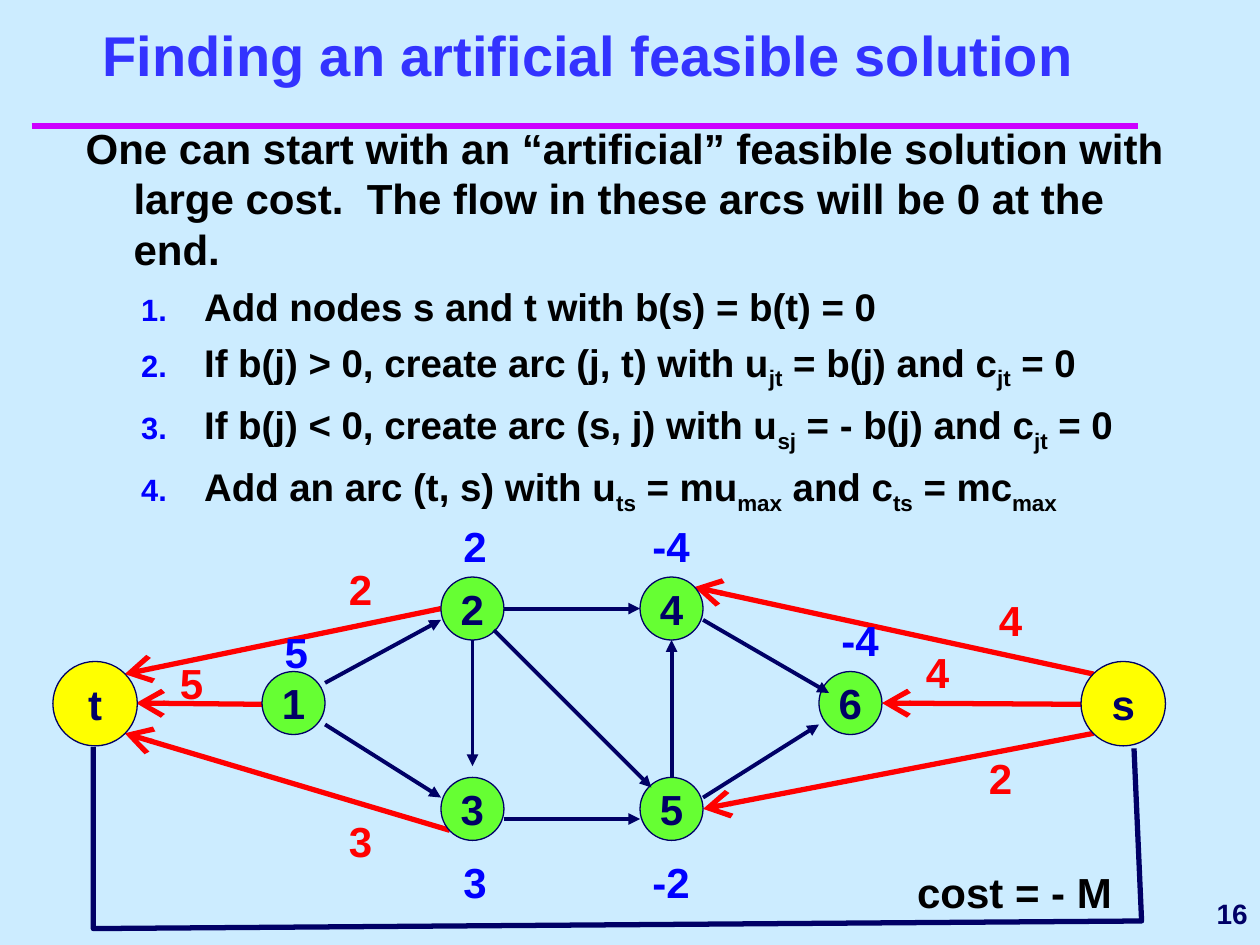
from lxml import etree
from pptx import Presentation
from pptx.dml.color import RGBColor
from pptx.enum.shapes import MSO_CONNECTOR, MSO_SHAPE
from pptx.enum.text import MSO_ANCHOR, MSO_AUTO_SIZE, PP_ALIGN
from pptx.oxml.ns import qn
from pptx.util import Inches, Pt

STRAIGHT = MSO_CONNECTOR.STRAIGHT
OVAL = MSO_SHAPE.OVAL
MIDDLE, BOTTOM, TOP = MSO_ANCHOR.MIDDLE, MSO_ANCHOR.BOTTOM, MSO_ANCHOR.TOP
LEFT, CENTER, RIGHT = PP_ALIGN.LEFT, PP_ALIGN.CENTER, PP_ALIGN.RIGHT
NO_AUTOFIT = MSO_AUTO_SIZE.NONE

PALE_BLUE = RGBColor(0xCC, 0xEC, 0xFF)
TITLE_BLUE = RGBColor(0x33, 0x33, 0xFF)
BLUE = RGBColor(0x00, 0x00, 0xFF)
NAVY = RGBColor(0x00, 0x00, 0x66)
MAGENTA = RGBColor(0xCC, 0x00, 0xFF)
RED = RGBColor(0xFF, 0x00, 0x00)
YELLOW = RGBColor(0xFF, 0xFF, 0x00)
GREEN = RGBColor(0x66, 0xFF, 0x33)
BLACK = RGBColor(0x00, 0x00, 0x00)


def style_text(para, size, color, align=LEFT):
    para.alignment = align
    para.font.name = "Arial"
    para.font.size = Pt(size)
    para.font.bold = True
    para.font.color.rgb = color


def add_line(ends, color, width, arrowhead=None, head_size="med"):
    """Draw a line between two points, with an optional arrowhead at its end."""
    line = page.shapes.add_connector(STRAIGHT, *[Inches(value) for value in ends])
    line.line.color.rgb = color
    line.line.width = Pt(width)
    if arrowhead:
        etree.SubElement(
            line.line._get_or_add_ln(), qn("a:tailEnd"),
            type=arrowhead, w=head_size, len=head_size,
        )
    etree.SubElement(line._element.spPr, qn("a:effectLst"))


deck = Presentation()
deck.slide_width, deck.slide_height = Inches(10), Inches(7.5)
page = deck.slides.add_slide(deck.slide_layouts[1])
page.background.fill.solid()
page.background.fill.fore_color.rgb = PALE_BLUE

add_line((0.25, 1, 9.03, 1), MAGENTA, 4)

# Title and steps
title, body = page.placeholders
for holder, place, anchor in [
    (title, (0.42, 0.17, 8.5, 0.58), BOTTOM),
    (body, (0.58, 0.92, 9, 3.25), TOP),
]:
    holder.left, holder.top, holder.width, holder.height = map(Inches, place)
    holder.text_frame.auto_size = NO_AUTOFIT
    holder.text_frame.vertical_anchor = anchor

title.text_frame.text = "Finding an artificial feasible solution"
style_text(title.text_frame.paragraphs[0], 32, TITLE_BLUE, CENTER)

intro = body.text_frame.paragraphs[0]
intro.text = (
    "One can start with an “artificial” feasible solution with large cost.  "
    "The flow in these arcs will be 0 at the end."
)
properties = intro._p.get_or_add_pPr()
properties.set("marL", str(Inches(0.38)))
properties.set("indent", str(Inches(-0.38)))
etree.SubElement(properties, qn("a:buNone"))
intro.space_before = Pt(0)
style_text(intro, 24, BLACK)

# Every second part between bars is a subscript
steps = [
    "Add nodes s and t with b(s) = b(t) = 0",
    "If b(j) > 0, create arc (j, t) with u|jt| = b(j) and c|jt| = 0",
    "If b(j) < 0, create arc (s, j) with u|sj| = - b(j) and c|jt| = 0",
    "Add an arc (t, s) with u|ts| = mu|max| and c|ts| = mc|max",
]
for step in steps:
    para = body.text_frame.add_paragraph()
    para.level = 1
    properties = para._p.get_or_add_pPr()
    properties.set("marL", str(Inches(0.94)))
    properties.set("indent", str(Inches(-0.5)))
    bullet_color = etree.SubElement(properties, qn("a:buClr"))
    etree.SubElement(bullet_color, qn("a:srgbClr"), val=str(BLUE))
    etree.SubElement(properties, qn("a:buSzPct"), val="80000")
    etree.SubElement(properties, qn("a:buFont"), typeface="Arial")
    etree.SubElement(properties, qn("a:buAutoNum"), type="arabicPeriod")
    para.space_before = Pt(5.5)
    style_text(para, 22, BLACK)
    for index, part in enumerate(step.split("|")):
        span = para.add_run()
        span.text = part
        if index % 2:
            span._r.get_or_add_rPr().set("baseline", "-25000")

# Artificial arcs, drawn towards t and away from s
for arc in [
    (8.68, 5.35, 5.51, 4.66),
    (8.58, 5.59, 7, 5.58),
    (8.68, 5.82, 5.58, 6.42),
    (3.5, 4.83, 0.99, 5.35),
    (2.08, 5.59, 1.08, 5.58),
    (3.57, 6.59, 0.99, 5.82),
]:
    add_line(arc, RED, 3, "arrow", "lg")

# Nodes
for name, left, top, size, fill in [
    ("s", 8.58, 5.25, 0.67, YELLOW),
    ("t", 0.42, 5.25, 0.67, YELLOW),
    ("1", 2.08, 5.33, 0.5, GREEN),
    ("2", 3.5, 4.58, 0.5, GREEN),
    ("3", 3.5, 6.17, 0.5, GREEN),
    ("4", 5.08, 4.58, 0.5, GREEN),
    ("5", 5.08, 6.17, 0.5, GREEN),
    ("6", 6.5, 5.33, 0.5, GREEN),
]:
    node = page.shapes.add_shape(
        OVAL, Inches(left), Inches(top), Inches(size), Inches(size)
    )
    node.shadow.inherit = False
    node.fill.solid()
    node.fill.fore_color.rgb = fill
    node.line.color.rgb = NAVY
    node.line.width = Pt(0.75)
    node.text_frame.text = name
    node.text_frame.word_wrap = False
    node.text_frame.vertical_anchor = MIDDLE
    style_text(node.text_frame.paragraphs[0], 24, NAVY, CENTER)

# Arcs of the network
for arc in [
    (2.58, 5.42, 3.5, 4.92),
    (4, 4.83, 5.08, 4.83),
    (5.58, 4.92, 6.58, 5.5),
    (2.58, 5.75, 3.5, 6.33),
    (4, 6.5, 5.08, 6.5),
    (5.58, 6.33, 6.5, 5.75),
    (3.75, 5.08, 3.75, 6.08),
    (5.33, 6.17, 5.33, 5.08),
    (3.92, 5, 5.17, 6.25),
]:
    add_line(arc, NAVY, 2.25, "triangle")

# Arc from t to s
outline = page.shapes.build_freeform(Inches(0.74), Inches(5.93))
outline.add_line_segments(
    [(Inches(x), Inches(y)) for x, y in [(0.74, 7.37), (9.06, 7.31), (9, 5.94)]],
    close=False,
)
return_arc = outline.convert_to_shape()
return_arc.shadow.inherit = False
return_arc.fill.background()
return_arc.line.color.rgb = NAVY
return_arc.line.width = Pt(3)

# Capacities in red, supplies and demands in blue, cost in black
for text, left, top, width, color in [
    ("4", 7.83, 4.67, 0.5, RED),
    ("4", 7.25, 5.08, 0.58, RED),
    ("2", 7.75, 5.92, 0.58, RED),
    ("5", 1.33, 5.17, 0.42, RED),
    ("2", 2.67, 4.42, 0.42, RED),
    ("3", 2.67, 6.42, 0.42, RED),
    ("5", 2.16, 4.92, 0.42, BLUE),
    ("2", 3.58, 4.08, 0.42, BLUE),
    ("-4", 5.08, 4.08, 0.5, BLUE),
    ("-4", 6.58, 4.83, 0.58, BLUE),
    ("-2", 5.08, 6.75, 0.58, BLUE),
    ("3", 3.58, 6.75, 0.42, BLUE),
    ("cost = - M", 7.18, 6.83, 1.82, BLACK),
]:
    box = page.shapes.add_textbox(
        Inches(left), Inches(top), Inches(width), Inches(0.5)
    )
    box.text_frame.text = text
    box.text_frame.word_wrap = True
    style_text(box.text_frame.paragraphs[0], 24, color)

number = page.shapes.add_textbox(Inches(8.08), Inches(7), Inches(1.92), Inches(0.5))
number.text_frame.text = "16"
number.text_frame.word_wrap = True
number.text_frame.vertical_anchor = MIDDLE
style_text(number.text_frame.paragraphs[0], 16, NAVY, RIGHT)

deck.save("out.pptx")
